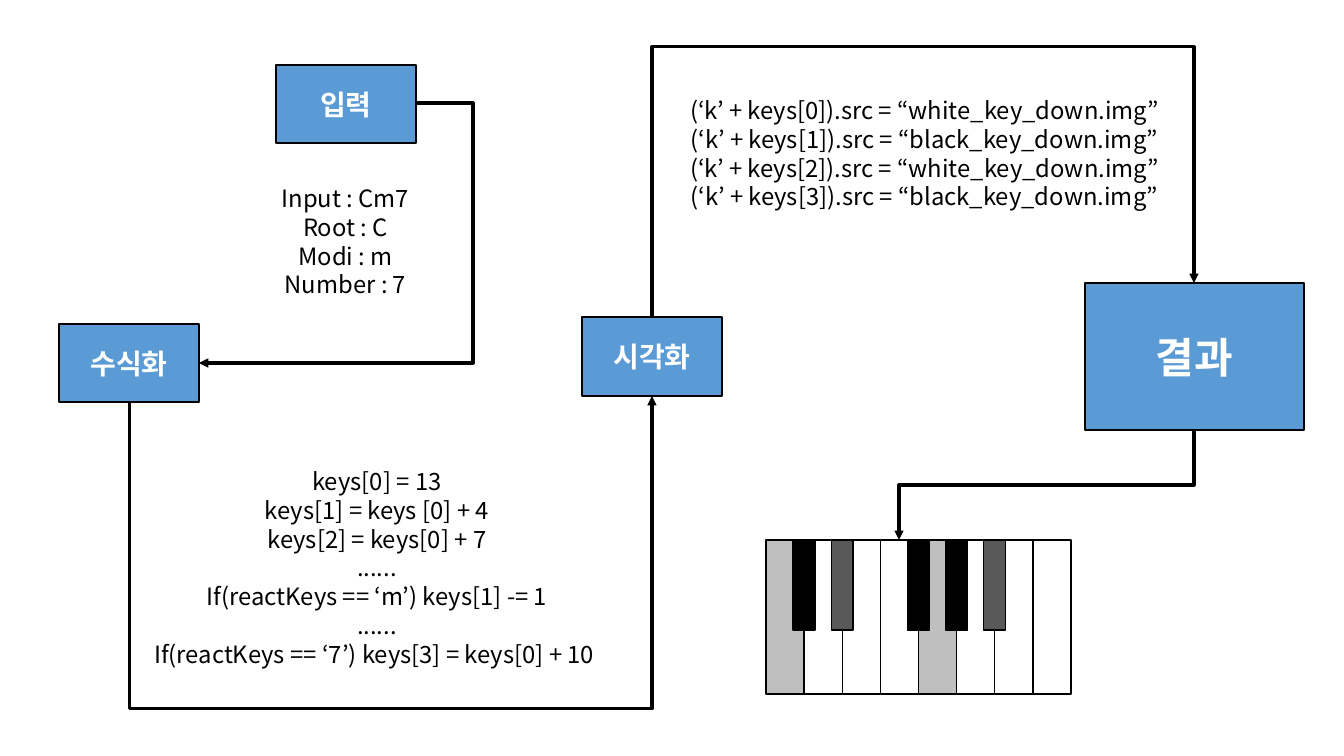
from lxml import etree
from pptx import Presentation, util as u
from pptx.dml.color import RGBColor
from pptx.enum import shapes as s, text as t
from pptx.oxml.ns import qn

FONT = "Noto Sans CJK KR"
HUE = {"box": "5B9BD5", "ink": "000000", "paper": "FFFFFF",
       "lit": "BFBFBF", "dim": "595959"}

# label, left, top, width, height, font size
STEPS = [
    ("입력", 276, 65, 140, 78, 20),
    ("수식화", 59, 324, 140, 78, 20),
    ("시각화", 582, 317, 140, 79, 20),
    ("결과", 1085, 283, 219, 147, 30),
]
# lines, left, top, width, height, wrap
NOTES = [
    (["Input : Cm7", "Root : C", "Modi : m", "Number : 7"],
     271, 179, 149, 126, False),
    (["keys[0] = 13", "keys[1] = keys [0] + 4", "keys[2] = keys[0] + 7",
      "......", "If(reactKeys == ‘m’) keys[1] -= 1", "......",
      "If(reactKeys == ‘7’) keys[3] = keys[0] + 10 "],
     59, 462, 636, 241, True),
    ([f"(‘k’ + keys[{i}]).src = “{tone}_key_down.img”"
      for i, tone in enumerate(["white", "black"] * 2)],
     643, 91, 563, 154, True),
]
# start, end, coordinate of the middle leg, leaves the start vertically
ARROWS = [
    ((416, 103), (199, 363), 473, False),
    ((130, 402), (652, 396), 709, True),
    ((652, 317), (1194, 283), 47, True),
    ((1194, 430), (899, 540), 485, True),
]
PIANO = (766, 540, 305, 154)
WHITES = ["lit", "paper", "paper", "paper", "lit", "paper", "paper", "paper"]
BLACKS = {1: "ink", 2: "dim", 4: "ink", 5: "ink", 6: "dim"}  # by white-key edge
BLACK_W, BLACK_H = 22, 90


def px(n):
    return u.Emu(round(n * 914400 / 100.8))


def rgb(name):
    return RGBColor.from_string(HUE[name])


def box(home, hue, *area):
    rect = home.add_shape(s.MSO_SHAPE.RECTANGLE, *map(px, area))
    rect.shadow.inherit = False
    rect.fill.solid()
    rect.fill.fore_color.rgb = rgb(hue)
    rect.line.color.rgb = rgb("ink")
    rect.line.width = u.Pt(1)
    return rect


def style(para, size, hue, bold=False):
    para.alignment = t.PP_ALIGN.CENTER
    for run in para.runs:
        font = run.font
        font.size, font.bold, font.name = u.Pt(size), bold, FONT
        font.color.rgb = rgb(hue)
        etree.SubElement(font._element, qn("a:ea")).set("typeface", FONT)


def arrow(home, start, end, mid, down):
    """Elbow arrow; a vertical start is a horizontal elbow turned by 90°."""
    (x1, y1), (x2, y2) = start, end
    wide, high = abs(x2 - x1), abs(y2 - y1)
    flip_h, flip_v = x2 < x1, y2 < y1
    ratio = (mid - x1) / (x2 - x1)
    if down:
        wide, high = high, wide
        flip_h, flip_v = y2 < y1, x2 > x1
        ratio = (mid - y1) / (y2 - y1)
    left, top = (x1 + x2 - wide) / 2, (y1 + y2 - high) / 2
    line = home.add_connector(s.MSO_CONNECTOR.ELBOW, px(left), px(top),
                              px(left + wide), px(top + high))
    line.line.color.rgb = rgb("ink")
    line.line.width = u.Pt(2.25)
    props = line._element.spPr
    frame = props.find(qn("a:xfrm"))
    for name, value in (("rot", 5400000 * down), ("flipH", int(flip_h)),
                        ("flipV", int(flip_v))):
        if value:
            frame.set(name, str(value))
    guide = etree.SubElement(props.find(qn("a:prstGeom")).find(qn("a:avLst")),
                             qn("a:gd"))
    guide.set("name", "adj1")
    guide.set("fmla", f"val {round(ratio * 100000)}")
    etree.SubElement(props.find(qn("a:ln")), qn("a:tailEnd")).set("type", "triangle")
    etree.SubElement(props, qn("a:effectLst"))


def main():
    deck = Presentation()
    deck.slide_width, deck.slide_height = px(1344), px(756)
    home = deck.slides.add_slide(deck.slide_layouts[6]).shapes

    for label, *area, size in STEPS:
        frame = box(home, "box", *area).text_frame
        frame.text = label
        frame.vertical_anchor = t.MSO_ANCHOR.MIDDLE
        style(frame.paragraphs[0], size, "paper", True)

    for lines, *area, wrap in NOTES:
        frame = home.add_textbox(*map(px, area)).text_frame
        frame.word_wrap = wrap
        frame.text = "\n".join(lines)
        for para in frame.paragraphs:
            para.line_spacing = u.Pt(20.5)
            style(para, 17, "ink")

    left, top, width, height = PIANO
    step = width / len(WHITES)
    keys = home.add_group_shape().shapes
    for i, hue in enumerate(WHITES):
        box(keys, hue, left + i * step, top, step, height)
    for i, hue in BLACKS.items():
        box(keys, hue, left + i * step - BLACK_W / 2, top, BLACK_W, BLACK_H)

    for item in ARROWS:
        arrow(home, *item)
    deck.save("out.pptx")


if __name__ == "__main__":
    main()
